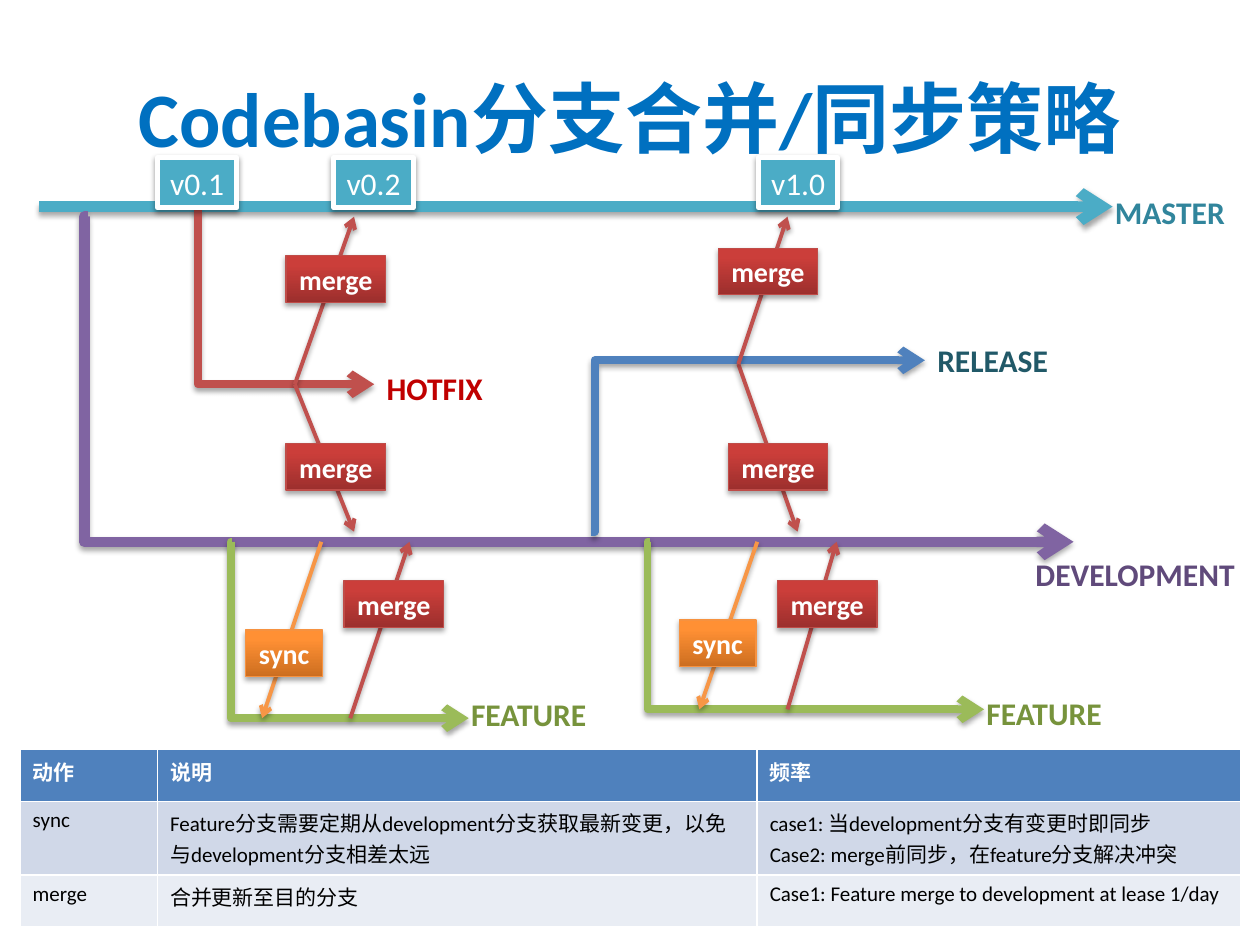
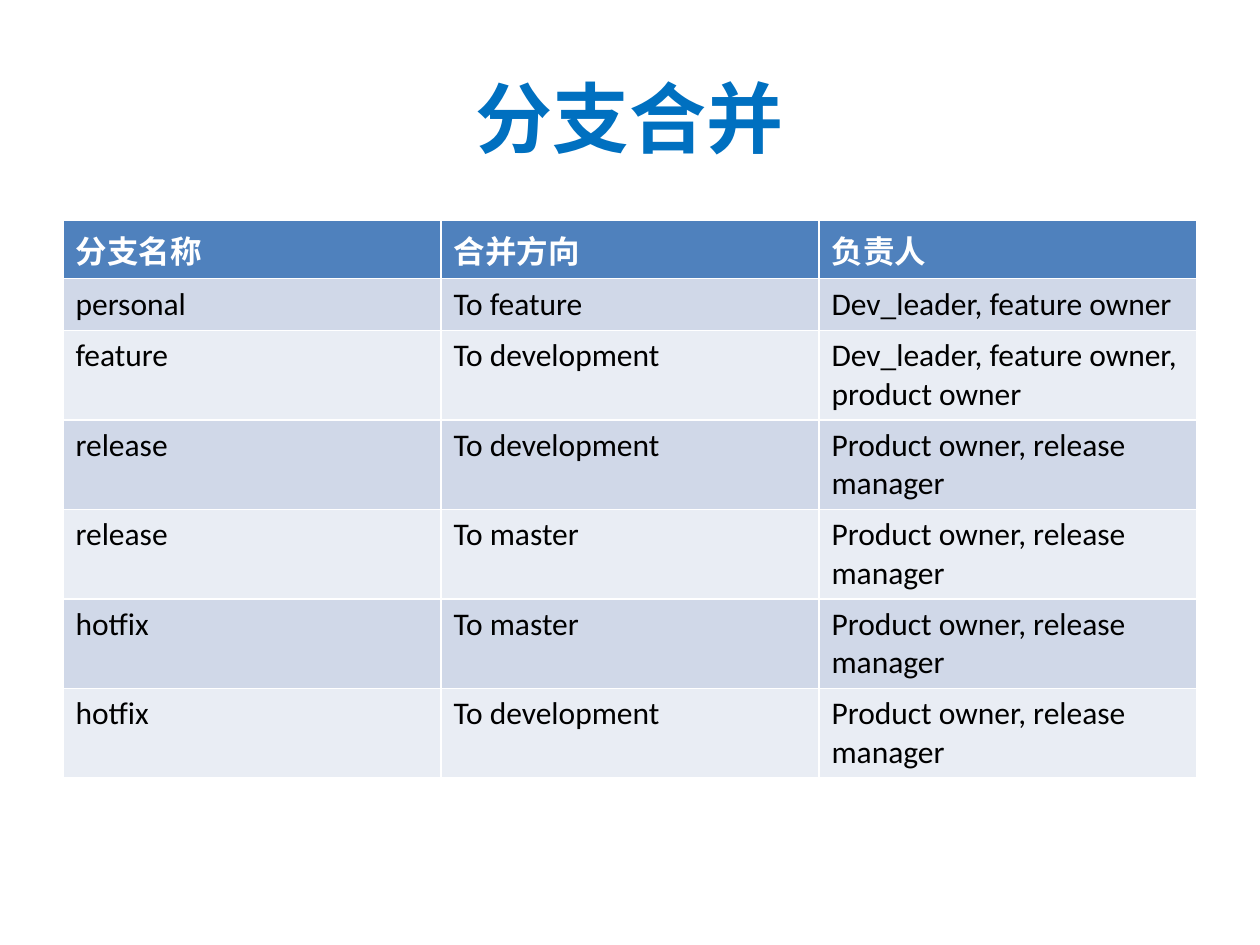
from lxml import etree
from pptx import Presentation
from pptx.dml.color import RGBColor
from pptx.enum.shapes import MSO_CONNECTOR, MSO_SHAPE
from pptx.enum.text import MSO_ANCHOR, MSO_AUTO_SIZE, PP_ALIGN
from pptx.oxml.ns import qn
from pptx.util import Inches, Pt

STRAIGHT, ELBOW = MSO_CONNECTOR.STRAIGHT, MSO_CONNECTOR.ELBOW
RECTANGLE = MSO_SHAPE.RECTANGLE
MIDDLE, CENTER, LEFT = MSO_ANCHOR.MIDDLE, PP_ALIGN.CENTER, PP_ALIGN.LEFT
FIT_SHAPE = MSO_AUTO_SIZE.SHAPE_TO_FIT_TEXT
TITLE_ONLY = 5

FONT = "Calibri"
WHITE, BLACK, TITLE_BLUE = "FFFFFF", "000000", "0070C0"
BLUE, RED, GREEN = "4F81BD", "C0504D", "9BBB59"
PURPLE, AQUA, ORANGE = "8064A2", "4BACC6", "F79646"
BANDS = ("D0D8E8", "E9EDF4")
TITLE_BOX = (0.5, 0.3, 9, 1.25)

ACTIONS = {
    "merge": {"line": RED, "edge": "BF4C48", "shades": ("9C2F2D", "CB3E3A"), "width": 0.79},
    "sync": {"line": ORANGE, "edge": "F69240", "shades": ("CC6E20", "FF9034"), "width": 0.61},
}

MAINLINE = ((0.01, 0.44), (8.53, 0.44))
BRANCHES = [
    (PURPLE, 6, (0.4, 0.52), 0.37, (8.22, 3.1)),
    (GREEN, 4.5, (1.54, 3.1), 1.53, (3.42, 4.5)),
    (GREEN, 4.5, (4.86, 3.1), 4.84, (7.51, 4.43)),
    (BLUE, 4.5, (4.39, 3.02), 4.42, (7.04, 1.66)),
    (RED, 4.5, (1.27, 0.45), 1.27, (2.67, 1.85)),
]
BRANCH_NAMES = [
    ("MASTER", "31859C", (8.45, 0.28, 1.08, 0.4)),
    ("DEVELOPMENT", "604A7B", (7.82, 3.16, 1.8, 0.4)),
    ("FEATURE", "77933C", (7.43, 4.26, 1.12, 0.4)),
    ("FEATURE", "77933C", (3.34, 4.27, 1.12, 0.4)),
    ("RELEASE", "215968", (7.04, 1.46, 1.09, 0.4)),
    ("HOTFIX", "C00000", (2.67, 1.68, 0.97, 0.4)),
]
FLOWS = [
    ("merge", (2.48, 4.5), (2.95, 3.1), (2.43, 3.41)),
    ("sync", (2.25, 3.1), (1.78, 4.5), (1.65, 3.8)),
    ("merge", (5.95, 4.43), (6.34, 3.1), (5.87, 3.41)),
    ("sync", (5.71, 3.1), (5.25, 4.43), (5.09, 3.72)),
    ("merge", (5.56, 1.69), (6.03, 3.02), (5.48, 2.32)),
    ("merge", (5.56, 1.69), (5.95, 0.52), (5.4, 0.77)),
    ("merge", (2.04, 1.85), (2.51, 0.52), (1.97, 0.83)),
    ("merge", (2.04, 1.85), (2.51, 3.02), (1.97, 2.32)),
]
VERSIONS = {"v0.1": 0.95, "v0.2": 2.35, "v1.0": 5.72}

ACTION_ROWS = [
    ("动作", "说明", "频率"),
    ("sync", "Feature分支需要定期从development分支获取最新变更，以免与development分支相差太远",
     "case1: 当development分支有变更时即同步\nCase2: merge前同步，在feature分支解决冲突"),
    ("merge", "合并更新至目的分支", "Case1: Feature merge to development at lease 1/day"),
]
RELEASE_OWNERS = "Product owner, release manager"
OWNER_ROWS = [
    ("分支名称", "合并方向", "负责人"),
    ("personal", "To feature", "Dev_leader, feature owner"),
    ("feature", "To development", "Dev_leader, feature owner, product owner"),
    ("release", "To development", RELEASE_OWNERS),
    ("release", "To master", RELEASE_OWNERS),
    ("hotfix", "To master", RELEASE_OWNERS),
    ("hotfix", "To development", RELEASE_OWNERS),
]


def rgb(hex_code):
    """Turn a hex string into a colour."""
    return RGBColor.from_string(hex_code)


def apply_format(target, values):
    """Set each named attribute on the target."""
    for name, value in values.items():
        setattr(target, name, value)


def write(frame, text, size, color, bold=True, align=LEFT):
    """Fill a text frame with evenly formatted paragraphs."""
    frame.text = text
    for paragraph in frame.paragraphs:
        paragraph.alignment = align
        for run in paragraph.runs:
            apply_format(run.font, {"name": FONT, "size": Pt(size), "bold": bold})
            run.font.color.rgb = rgb(color)


def cast_shadow(part, opacity=35, distance=1.8):
    """Give a shape or connector a soft shadow straight below it."""
    properties = part._element.spPr
    effects = properties.find(qn("a:effectLst"))
    if effects is None:
        effects = etree.SubElement(properties, qn("a:effectLst"))
    shadow = etree.SubElement(effects, qn("a:outerShdw"), blurRad=str(Pt(3.1)),
                              dist=str(Pt(distance)), dir="5400000", rotWithShape="0")
    tone = etree.SubElement(shadow, qn("a:srgbClr"), val=BLACK)
    etree.SubElement(tone, qn("a:alpha"), val=str(opacity * 1000))


def add_arrow(slide, origin, start, end, color, width, trunk=None):
    """Draw an arrow, bent at the trunk position when one is given."""
    left, top = origin
    ends = [Inches(a + b) for point in (start, end) for a, b in zip((left, top), point)]
    arrow = slide.shapes.add_connector(STRAIGHT if trunk is None else ELBOW, *ends)
    arrow.line.color.rgb = rgb(color)
    arrow.line.width = Pt(width)
    properties = arrow._element.spPr
    etree.SubElement(properties.find(qn("a:ln")), qn("a:tailEnd"), type="arrow")
    if trunk is not None:
        bend = round((trunk - start[0]) / (end[0] - start[0]) * 100000)
        guides = properties.find(qn("a:prstGeom")).find(qn("a:avLst"))
        etree.SubElement(guides, qn("a:gd"), name="adj1", fmla=f"val {bend}")
    cast_shadow(arrow)


def add_tag(slide, box, text, size, bold, edge, edge_width):
    """Add a bordered rectangle with centred white text."""
    tag = slide.shapes.add_shape(RECTANGLE, *map(Inches, box))
    tag.shadow.inherit = False
    tag.line.color.rgb = rgb(edge)
    tag.line.width = Pt(edge_width)
    apply_format(tag.text_frame, {"word_wrap": False, "auto_size": FIT_SHAPE,
                                  "vertical_anchor": MIDDLE})
    write(tag.text_frame, text, size, WHITE, bold, CENTER)
    return tag


def add_action(slide, box, action):
    """Add a shaded tag that names a merge or sync."""
    style = ACTIONS[action]
    tag = add_tag(slide, box, action, 16, True, style["edge"], 0.75)
    tag.fill.gradient()
    tag.fill.gradient_angle = 90
    for stop, shade, position in zip(tag.fill.gradient_stops, style["shades"], (0, 0.8)):
        stop.color.rgb = rgb(shade)
        stop.position = position
    cast_shadow(tag)


def add_version(slide, box, version):
    """Add a white-framed release tag."""
    tag = add_tag(slide, box, version, 18, False, WHITE, 3)
    tag.fill.solid()
    tag.fill.fore_color.rgb = rgb(AQUA)
    cast_shadow(tag, 38, 1.6)


def add_branch_diagram(slide, origin):
    """Draw branches, their names, the flows between them and the versions."""
    left, top = origin
    add_arrow(slide, origin, *MAINLINE, AQUA, 6)
    for color, width, start, trunk, end in BRANCHES:
        add_arrow(slide, origin, start, end, color, width, trunk)
    for name, color, (x, y, width, height) in BRANCH_NAMES:
        label = slide.shapes.add_textbox(*map(Inches, (left + x, top + y, width, height)))
        apply_format(label.text_frame, {"word_wrap": False, "auto_size": FIT_SHAPE})
        write(label.text_frame, name, 18, color)
    for action, start, end, _ in FLOWS:
        add_arrow(slide, origin, start, end, ACTIONS[action]["line"], 2.25)
    for version, x in VERSIONS.items():
        add_version(slide, (left + x, top + 0.05, 0.63, 0.4), version)
    for action, _, _, (x, y) in FLOWS:
        add_action(slide, (left + x, top + y, ACTIONS[action]["width"], 0.37), action)


def add_banded_table(slide, origin, column_widths, rows, size):
    """Add a table with a blue header and alternating row bands."""
    row_height = 0.41
    box = (*origin, sum(column_widths), row_height * len(rows))
    table = slide.shapes.add_table(len(rows), len(column_widths), *map(Inches, box)).table
    for column, width in zip(table.columns, column_widths):
        column.width = Inches(width)
    for row_index, texts in enumerate(rows):
        table.rows[row_index].height = Inches(row_height)
        header = row_index == 0
        for column_index, text in enumerate(texts):
            cell = table.cell(row_index, column_index)
            cell.fill.solid()
            cell.fill.fore_color.rgb = rgb(BLUE if header else BANDS[(row_index - 1) % 2])
            write(cell.text_frame, text, size, WHITE if header else BLACK, header)


def add_titled_slide(deck, title):
    """Add a slide with the shared title style."""
    slide = deck.slides.add_slide(deck.slide_layouts[TITLE_ONLY])
    heading = slide.shapes.title
    apply_format(heading, dict(zip(("left", "top", "width", "height"), map(Inches, TITLE_BOX))))
    heading.text_frame.vertical_anchor = MIDDLE
    write(heading.text_frame, title, 44, TITLE_BLUE, True, CENTER)
    return slide


def main():
    """Build the branching strategy deck."""
    deck = Presentation()
    apply_format(deck, {"slide_width": Inches(10), "slide_height": Inches(7.5)})
    strategy = add_titled_slide(deck, "Codebasin分支合并/同步策略")
    add_banded_table(strategy, (0.16, 5.95), (1.09, 4.76, 3.84), ACTION_ROWS, 12)
    add_branch_diagram(strategy, (0.3, 1.2))
    owners = add_titled_slide(deck, "分支合并")
    add_banded_table(owners, (0.5, 1.75), (3, 3, 3), OWNER_ROWS, 18)
    deck.save("out.pptx")


if __name__ == "__main__":
    main()
